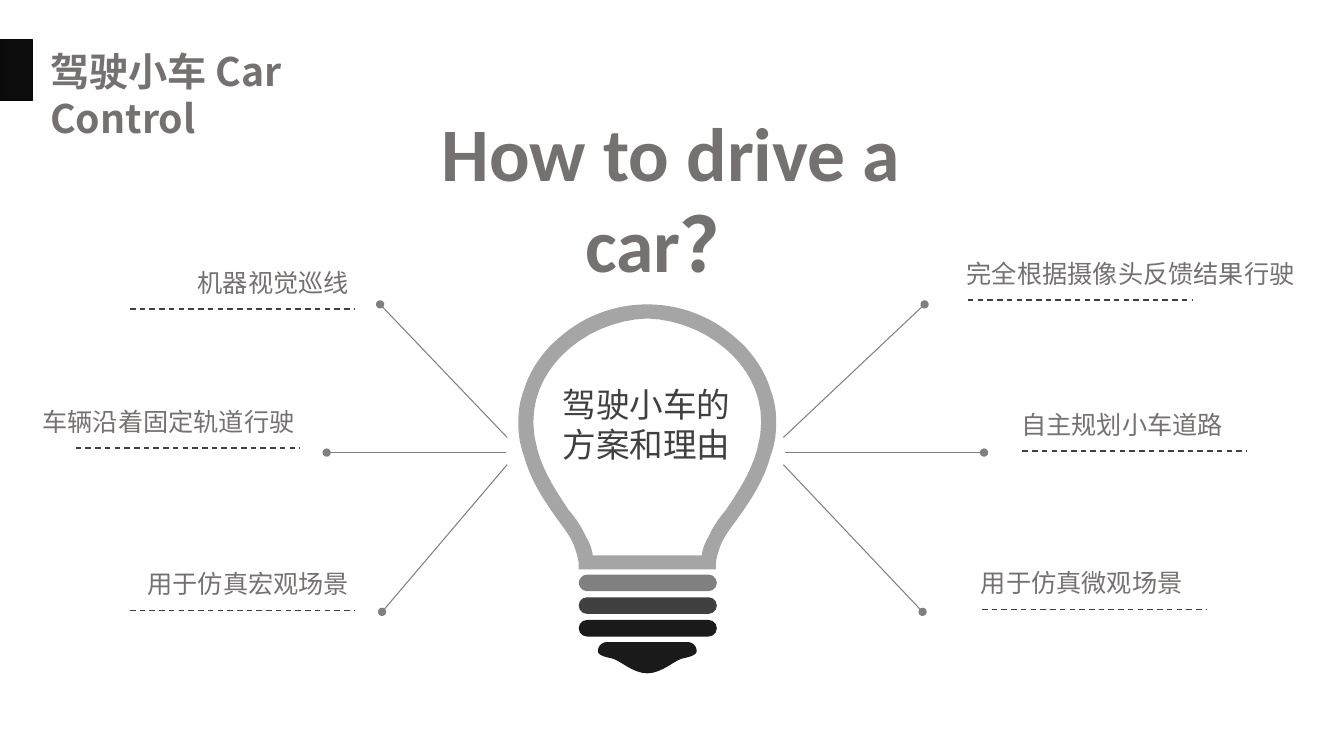
from dataclasses import dataclass

from lxml.etree import SubElement
from pptx import Presentation
from pptx.dml.color import RGBColor
from pptx.enum.dml import MSO_LINE_DASH_STYLE as Dash
from pptx.enum.shapes import MSO_CONNECTOR as Link, MSO_SHAPE as Shape
from pptx.enum.text import MSO_ANCHOR as Anchor, MSO_AUTO_SIZE as Fit, PP_ALIGN as Align
from pptx.oxml.ns import qn
from pptx.util import Inches, Pt


@dataclass(frozen=True)
class Theme:
    text: str = "767171"
    dark: str = "404040"
    ray: str = "808080"
    glass: str = "A5A5A5"
    tip: str = "1A1A1A"
    tab: str = "0C0C0C"
    edge: str = "090909"
    cjk: str = "Noto Sans CJK SC"
    sans: str = "Arial"
    latin: str = "Calibri"
    title: int = 54
    head: int = 28
    core: int = 24
    label: int = 18


THEME = Theme()
AXIS = 6.42
RULE = 2.22

OUTER = [
    [(0, 3.02), (0.19, 3.02), (0.38, 3.06), (0.55, 3.14)],
    [(0.55, 3.14), (0.71, 3.21), (0.85, 3.32), (0.97, 3.44)],
    [(0.97, 3.44), (1.09, 3.57), (1.18, 3.72), (1.22, 3.86)],
    [(1.22, 3.86), (1.28, 4.01), (1.29, 4.17), (1.27, 4.34)],
    [(1.27, 4.34), (1.26, 4.39), (1.25, 4.45), (1.23, 4.5)],
    [(1.23, 4.5), (1.16, 4.77), (1.02, 4.97), (0.9, 5.14)],
    [(0.9, 5.14), (0.84, 5.22), (0.78, 5.3), (0.74, 5.38)],
    [(0.74, 5.38), (0.71, 5.45), (0.69, 5.52), (0.68, 5.58)],
    [(0.68, 5.58), (0.68, 5.6), (0.68, 5.63), (0.68, 5.65)],
]
INNER = [
    [(0, 3.16), (0.32, 3.17), (0.64, 3.31), (0.86, 3.54)],
    [(0.86, 3.54), (1.02, 3.71), (1.17, 3.97), (1.12, 4.32)],
    [(1.12, 4.32), (1.11, 4.37), (1.1, 4.41), (1.09, 4.46)],
    [(1.09, 4.46), (1.02, 4.71), (0.89, 4.89), (0.78, 5.06)],
    [(0.78, 5.06), (0.71, 5.14), (0.65, 5.23), (0.61, 5.32)],
    [(0.61, 5.32), (0.57, 5.39), (0.55, 5.44), (0.54, 5.51)],
]
TIP = [
    [(0.4, 6.37), (0.45, 6.37), (0.49, 6.41), (0.49, 6.46)],
    [(0.49, 6.46), (0.49, 6.5), (0.41, 6.52), (0.36, 6.53)],
    [(0.36, 6.53), (0.28, 6.54), (0.15, 6.68), (0, 6.68)],
]
RAYS = [
    (7.77, 4.34, 9.17, 3.02),
    (7.79, 4.49, 9.76, 4.49),
    (7.77, 4.61, 9.15, 6.07),
    (5.03, 4.34, 3.77, 3.02),
    (5.02, 4.49, 3.24, 4.49),
    (5.03, 4.61, 3.79, 6.07),
]
RIGHT = [
    ("完全根据摄像头反馈结果行驶", 9.49, 2.51),
    ("自主规划小车道路", 10.03, 4.01),
    ("用于仿真微观场景", 9.63, 5.58),
]
LEFT = [
    ("机器视觉巡线", 3.56, 2.6),
    ("车辆沿着固定轨道行驶", 3.02, 3.98),
    ("用于仿真宏观场景", 3.56, 5.59),
]


def color(code):
    return RGBColor.from_string(code)


def place(shape, x, y, w, h):
    shape.left, shape.top = Inches(x), Inches(y)
    shape.width, shape.height = Inches(w), Inches(h)


def write(shape, text, *, size, font, tint=THEME.text, bold=False,
          align=Align.LEFT, wrap=False):
    frame = shape.text_frame
    frame.text = text
    frame.auto_size = Fit.NONE
    frame.word_wrap = wrap
    frame.vertical_anchor = Anchor.TOP
    for para in frame.paragraphs:
        para.alignment = align
        for run in para.runs:
            face = run.font
            face.size, face.bold, face.name = Pt(size), bold, font
            face.color.rgb = color(tint)
            SubElement(run._r.get_or_add_rPr(), qn("a:ea"), typeface=THEME.cjk)


def add_text(slide, text, x, y, w, h, **style):
    box = slide.shapes.add_textbox(0, 0, 0, 0)
    place(box, x, y, w, h)
    write(box, text, **style)


def paint(shape, fill, edge=None):
    shape.shadow.inherit = False
    shape.fill.solid()
    shape.fill.fore_color.rgb = color(fill)
    if edge:
        shape.line.color.rgb = color(edge)
        shape.line.width = Pt(1)
    else:
        shape.line.fill.background()


def add_line(slide, x, y, to_x, to_y, tint, width, dash=None, dot=False):
    line = slide.shapes.add_connector(
        Link.STRAIGHT, Inches(x), Inches(y), Inches(to_x), Inches(to_y))
    line.line.color.rgb = color(tint)
    line.line.width = Pt(width)
    if dash:
        line.line.dash_style = dash
    if dot:
        SubElement(line.line._get_or_add_ln(), qn("a:tailEnd"), type="oval")
    SubElement(line._element.spPr, qn("a:effectLst"))


def trace(curves, steps=8):
    points = [curves[0][0]]
    for a, b, c, d in curves:
        for step in range(1, steps + 1):
            t = step / steps
            s = 1 - t
            points.append(tuple(
                s**3 * p + 3 * s * s * t * q + 3 * s * t * t * r + t**3 * e
                for p, q, r, e in zip(a, b, c, d)))
    half = [(Inches(AXIS + x), Inches(y)) for x, y in points]
    other = [(Inches(AXIS - x), Inches(y)) for x, y in reversed(points)]
    return half + other


def add_outline(slide, fill, *paths):
    loops = [trace(path) for path in paths]
    pen = slide.shapes.build_freeform(*loops[0][0])
    pen.add_line_segments(loops[0][1:], close=True)
    for loop in loops[1:]:
        pen.move_to(*loop[0])
        pen.add_line_segments(loop[1:], close=True)
    paint(pen.convert_to_shape(), fill)


def add_bulb(slide):
    add_outline(slide, THEME.glass, OUTER, INNER)
    for row, fill in enumerate((THEME.ray, THEME.dark, THEME.tip)):
        ring = slide.shapes.add_shape(Shape.ROUNDED_RECTANGLE, 0, 0, 0, 0)
        place(ring, 5.74, 5.7 + 0.225 * row, 1.37, 0.165)
        ring.adjustments[0] = 0.5
        paint(ring, fill)
    add_outline(slide, THEME.tip, TIP)
    add_text(slide, "驾驶小车的\n方案和理由", 5.48, 3.76, 1.88, 0.91,
             size=THEME.core, font=THEME.sans, tint=THEME.dark)


def add_label(slide, text, edge, top, align):
    width = 0.2 + 0.252 * len(text)
    if align == Align.RIGHT:
        x, start = edge - width, edge - 0.05 - RULE
    else:
        x, start = edge, edge + 0.11
    add_text(slide, text, x, top, width, 0.4,
             size=THEME.label, font=THEME.cjk, align=align)
    y = top + 0.465
    add_line(slide, start, y, start + RULE, y, THEME.dark, 1, dash=Dash.DASH)


def main():
    deck = Presentation()
    deck.slide_width, deck.slide_height = Inches(13.33), Inches(7.5)
    slide = deck.slides.add_slide(deck.slide_layouts[5])

    title = slide.shapes.title
    place(title, 3.47, 1, 6.37, 1.01)
    write(title, "How to drive a car？", size=THEME.title, font=THEME.latin,
          bold=True, align=Align.CENTER, wrap=True)

    tab = slide.shapes.add_shape(Shape.RECTANGLE, 0, 0, 0, 0)
    place(tab, 0, 0.39, 0.32, 0.61)
    paint(tab, THEME.tab, THEME.edge)
    add_text(slide, "驾驶小车 Car Control", 0.4, 0.42, 3.93, 0.57,
             size=THEME.head, font=THEME.cjk, bold=True, wrap=True)

    for ray in RAYS:
        add_line(slide, *ray, THEME.ray, 0.75, dot=True)
    add_bulb(slide)
    for side, align in ((RIGHT, Align.LEFT), (LEFT, Align.RIGHT)):
        for label in side:
            add_label(slide, *label, align)

    deck.save("out.pptx")


if __name__ == "__main__":
    main()
